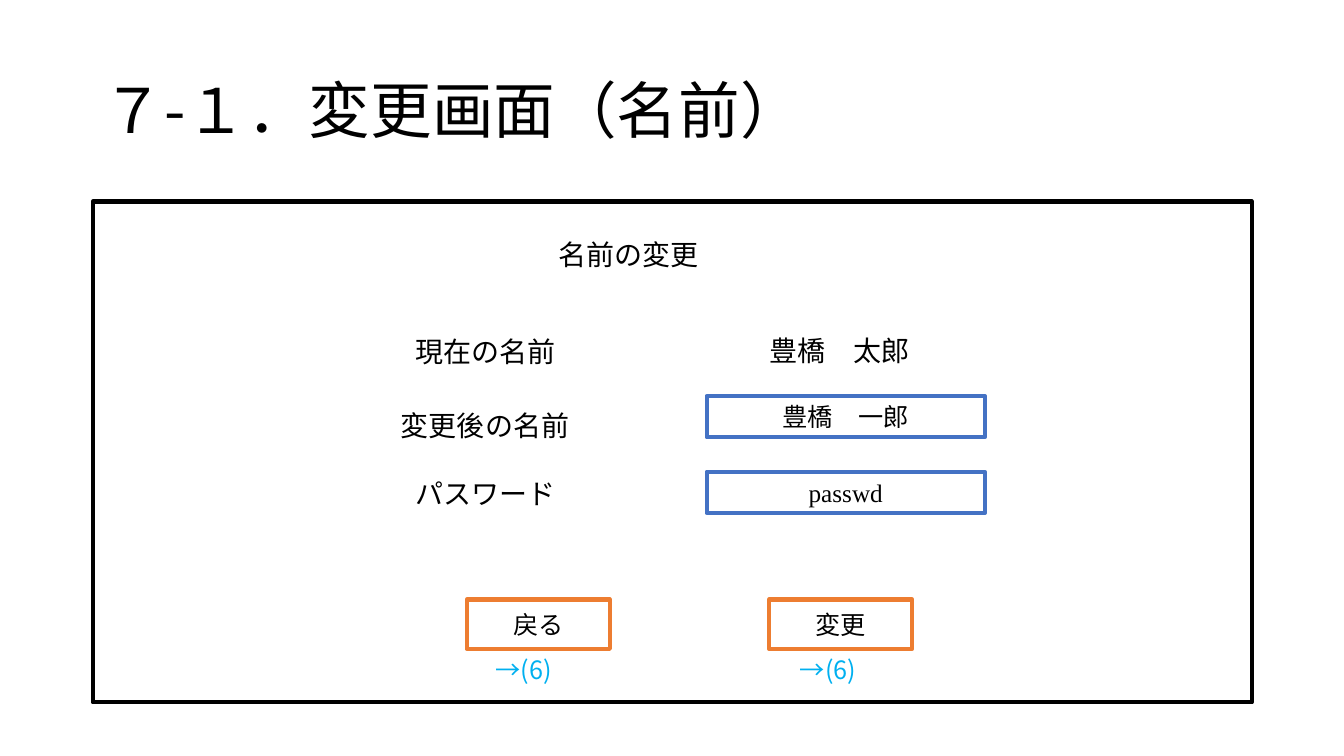
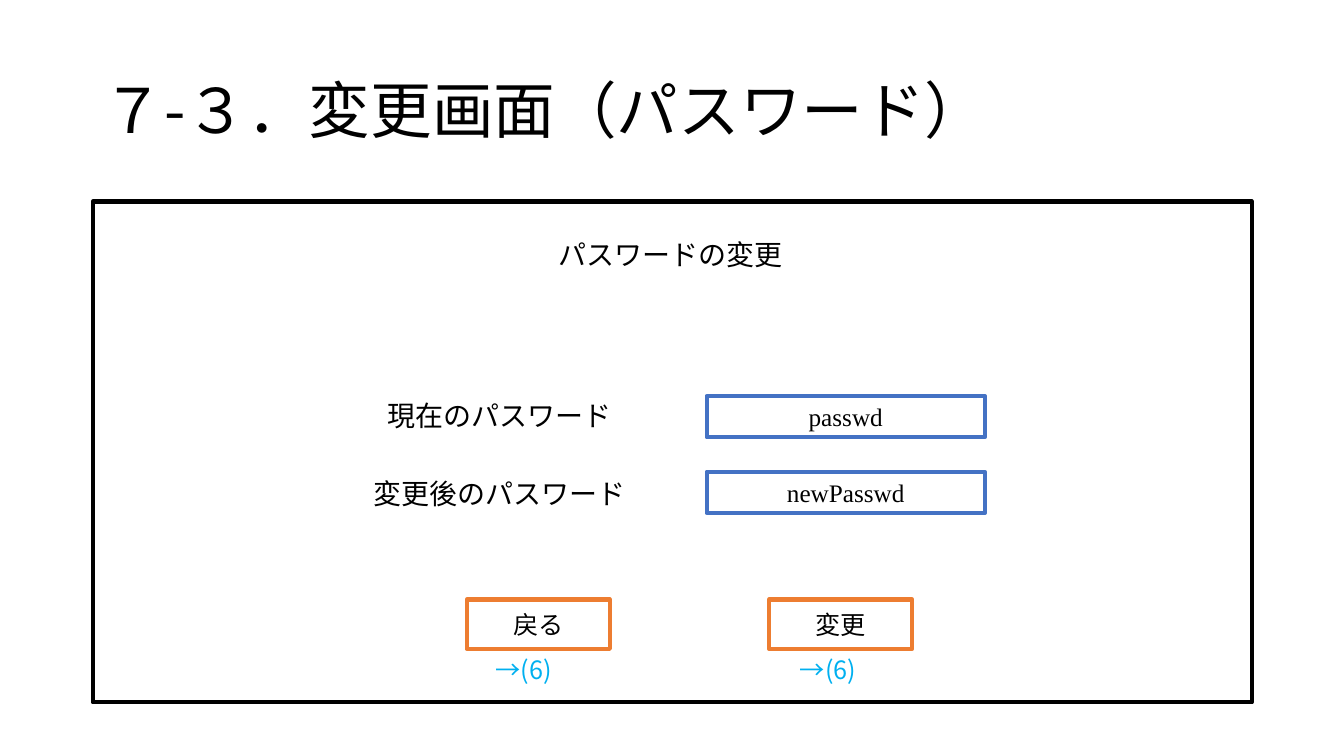
"""Build the two account-change screens, for the name and for the password."""
from dataclasses import dataclass

from lxml.etree import SubElement
from pptx import Presentation
from pptx.dml.color import RGBColor
from pptx.enum.shapes import MSO_SHAPE as Preset
from pptx.enum.text import MSO_ANCHOR as Anchor, MSO_AUTO_SIZE as AutoSize, PP_ALIGN as Align
from pptx.oxml.ns import qn
from pptx.slide import Slide
from pptx.text.text import TextFrame
from pptx.util import Cm, Pt


@dataclass(frozen=True)
class Theme:
    """Colours, fonts and type sizes of every screen."""
    ink: str = "000000"
    field: str = "4472C4"
    button: str = "ED7D31"
    hint: str = "00B0F0"
    sans: str = "Noto Sans CJK JP"
    serif: str = "Times New Roman"
    title_size: int = 44
    label_size: int = 20
    body_size: int = 18
    outline: int = 3


@dataclass(frozen=True)
class Area:
    """A rectangle in centimetres."""
    left: float
    top: float
    width: float
    height: float

    def lengths(self) -> tuple[Cm, Cm, Cm, Cm]:
        """Return the rectangle as slide lengths."""
        return Cm(self.left), Cm(self.top), Cm(self.width), Cm(self.height)


@dataclass(frozen=True)
class Label:
    """A one-line caption centred on a given x."""
    text: str
    center: float
    top: float


@dataclass(frozen=True)
class Button:
    """A button with the hint to its target screen."""
    text: str
    left: float
    hint_left: float


@dataclass(frozen=True)
class Screen:
    """The wording of one change screen."""
    title: str
    heading: str
    labels: tuple[Label, ...]
    entries: tuple[str, str]


THEME = Theme()
TITLE_AREA = Area(2.34, 1.02, 29.21, 3.68)
FRAME_AREA = Area(2.34, 5.08, 29.21, 12.62)
HEADING_LEFT, HEADING_TOP = 13.82, 5.87
LABEL_HEIGHT, CHARACTER_WIDTH, LABEL_PADDING = 1.12, 0.71, 0.51
ENTRY_TOPS = (9.98, 11.89)
NAME_CENTER, PASSWORD_CENTER, VALUE_CENTER = 12.24, 12.61, 21.18
TARGET = "→(6)"
BUTTONS = (Button("戻る", 11.76, 12.24), Button("変更", 19.38, 19.91))
SCREENS = (
    Screen("７-１．変更画面（名前）", "名前の変更", (
        Label("現在の名前", NAME_CENTER, 8.31),
        Label("豊橋　太郎", VALUE_CENTER, 8.28),
        Label("変更後の名前", NAME_CENTER, 10.16),
        Label("パスワード", NAME_CENTER, 11.89),
    ), ("豊橋　一郎", "passwd")),
    Screen("７-３．変更画面（パスワード）", "パスワードの変更", (
        Label("現在のパスワード", PASSWORD_CENTER, 9.91),
        Label("変更後のパスワード", PASSWORD_CENTER, 11.89),
    ), ("passwd", "newPasswd")),
)


def write(frame: TextFrame, text: str, size: int, font: str, color: str) -> None:
    """Fill a text frame with one paragraph in one style."""
    frame.text = text
    paragraph = frame.paragraphs[0]
    paragraph.font.size = Pt(size)
    paragraph.font.name = font
    paragraph.font.color.rgb = RGBColor.from_string(color)
    defaults = paragraph._p.pPr.find(qn("a:defRPr"))
    SubElement(defaults, qn("a:ea")).set("typeface", THEME.sans)


def add_text(slide: Slide, area: Area, text: str, size: int,
             color: str = THEME.ink, wrap: bool = True) -> TextFrame:
    """Add a sans-serif text box and return its text frame."""
    frame = slide.shapes.add_textbox(*area.lengths()).text_frame
    frame.word_wrap = wrap
    write(frame, text, size, THEME.sans, color)
    return frame


def add_box(slide: Slide, area: Area, color: str, text: str = "") -> None:
    """Add an outlined rectangle with optional centred text."""
    box = slide.shapes.add_shape(Preset.RECTANGLE, *area.lengths())
    box.shadow.inherit = False
    box.fill.background()
    box.line.color.rgb = RGBColor.from_string(color)
    box.line.width = Pt(THEME.outline)
    if text:
        frame = box.text_frame
        frame.vertical_anchor = Anchor.MIDDLE
        write(frame, text, THEME.body_size, THEME.serif, THEME.ink)
        frame.paragraphs[0].alignment = Align.CENTER


def add_caption(slide: Slide, text: str, left: float, top: float) -> None:
    """Add a one-line caption as wide as its characters."""
    area = Area(left, top, caption_width(text), LABEL_HEIGHT)
    frame = add_text(slide, area, text, THEME.label_size, wrap=False)
    frame.auto_size = AutoSize.SHAPE_TO_FIT_TEXT


def caption_width(text: str) -> float:
    """Return the width of a caption in centimetres."""
    return CHARACTER_WIDTH * len(text) + LABEL_PADDING


def add_button(slide: Slide, button: Button) -> None:
    """Add a button and the hint under it."""
    add_box(slide, Area(button.left, 15.11, 3.61, 1.24), THEME.button, button.text)
    hint_area = Area(button.hint_left, 16.36, 3.94, 1.02)
    hint = add_text(slide, hint_area, TARGET, THEME.body_size, THEME.hint)
    hint.auto_size = AutoSize.SHAPE_TO_FIT_TEXT


def draw_screen(slide: Slide, screen: Screen) -> None:
    """Draw one change screen on a blank slide."""
    title = add_text(slide, TITLE_AREA, screen.title, THEME.title_size)
    title.vertical_anchor = Anchor.MIDDLE
    title.paragraphs[0].line_spacing = 0.9
    add_box(slide, FRAME_AREA, THEME.ink)
    add_caption(slide, screen.heading, HEADING_LEFT, HEADING_TOP)
    for label in screen.labels:
        left = label.center - caption_width(label.text) / 2
        add_caption(slide, label.text, left, label.top)
    for entry, top in zip(screen.entries, ENTRY_TOPS):
        add_box(slide, Area(17.81, top, 7.01, 1.04), THEME.field, entry)
    for button in BUTTONS:
        add_button(slide, button)


def main() -> None:
    """Build and save the presentation."""
    presentation = Presentation()
    presentation.slide_width, presentation.slide_height = Cm(33.87), Cm(19.05)
    blank = presentation.slide_layouts[6]
    for screen in SCREENS:
        draw_screen(presentation.slides.add_slide(blank), screen)
    presentation.save("out.pptx")


main()
